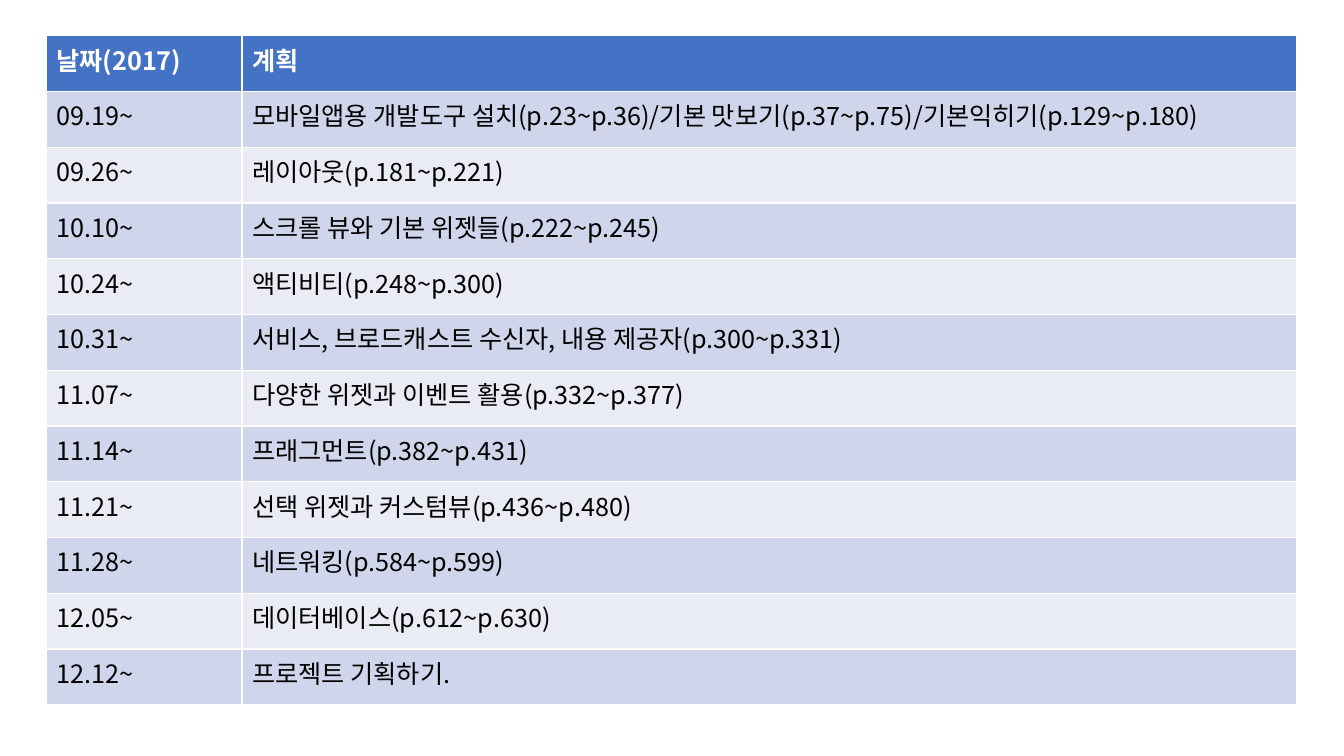
from lxml.etree import SubElement
from pptx import Presentation
from pptx.dml.color import RGBColor
from pptx.oxml.ns import qn
from pptx.util import Cm, Pt

# Content
HEADINGS = ("날짜(2017)", "계획")
SCHEDULE = [
    ("09.19~", "모바일앱용 개발도구 설치(p.23~p.36)/기본 맛보기(p.37~p.75)/기본익히기(p.129~p.180)"),
    ("09.26~", "레이아웃(p.181~p.221)"),
    ("10.10~", "스크롤 뷰와 기본 위젯들(p.222~p.245)"),
    ("10.24~", "액티비티(p.248~p.300)"),
    ("10.31~", "서비스, 브로드캐스트 수신자, 내용 제공자(p.300~p.331)"),
    ("11.07~", "다양한 위젯과 이벤트 활용(p.332~p.377)"),
    ("11.14~", "프래그먼트(p.382~p.431)"),
    ("11.21~", "선택 위젯과 커스텀뷰(p.436~p.480)"),
    ("11.28~", "네트워킹(p.584~p.599)"),
    ("12.05~", "데이터베이스(p.612~p.630)"),
    ("12.12~", "프로젝트 기획하기."),
]

# Style
FONT = "Noto Sans CJK KR"
HEADER_FILL, BAND_FILLS = "4472C4", ("CFD5EA", "E9EBF5")
HEADER_TEXT, BODY_TEXT = "FFFFFF", "000000"
LEFT, TOP, HEIGHT = Cm(1.17), Cm(0.9), Cm(16.87)
COLUMN_WIDTHS = (Cm(4.93), Cm(26.57))


def paint(color_format, hex_color):
    color_format.rgb = RGBColor.from_string(hex_color)


def fill_cell(cell, text, fill, text_color, bold):
    cell.fill.solid()
    paint(cell.fill.fore_color, fill)
    cell.text_frame.text = text
    for run in cell.text_frame.paragraphs[0].runs:
        run.font.name, run.font.size, run.font.bold = FONT, Pt(18), bold
        paint(run.font.color, text_color)
        # Korean glyphs use the East Asian typeface
        SubElement(run.font._element, qn("a:ea"), typeface=FONT)


def main():
    prs = Presentation()
    prs.slide_width, prs.slide_height = Cm(33.87), Cm(19.05)
    slide = prs.slides.add_slide(prs.slide_layouts[6])

    # Schedule table; its default style draws the white rules
    rows = [HEADINGS] + SCHEDULE
    schedule = slide.shapes.add_table(
        len(rows), len(HEADINGS), LEFT, TOP, sum(COLUMN_WIDTHS), HEIGHT).table
    for column, width in zip(schedule.columns, COLUMN_WIDTHS):
        column.width = width

    # Header row, then alternating bands
    for r, entry in enumerate(rows):
        header = r == 0
        fill = HEADER_FILL if header else BAND_FILLS[(r - 1) % 2]
        text_color = HEADER_TEXT if header else BODY_TEXT
        for c, text in enumerate(entry):
            fill_cell(schedule.cell(r, c), text, fill, text_color, header)

    prs.save("out.pptx")


if __name__ == "__main__":
    main()
